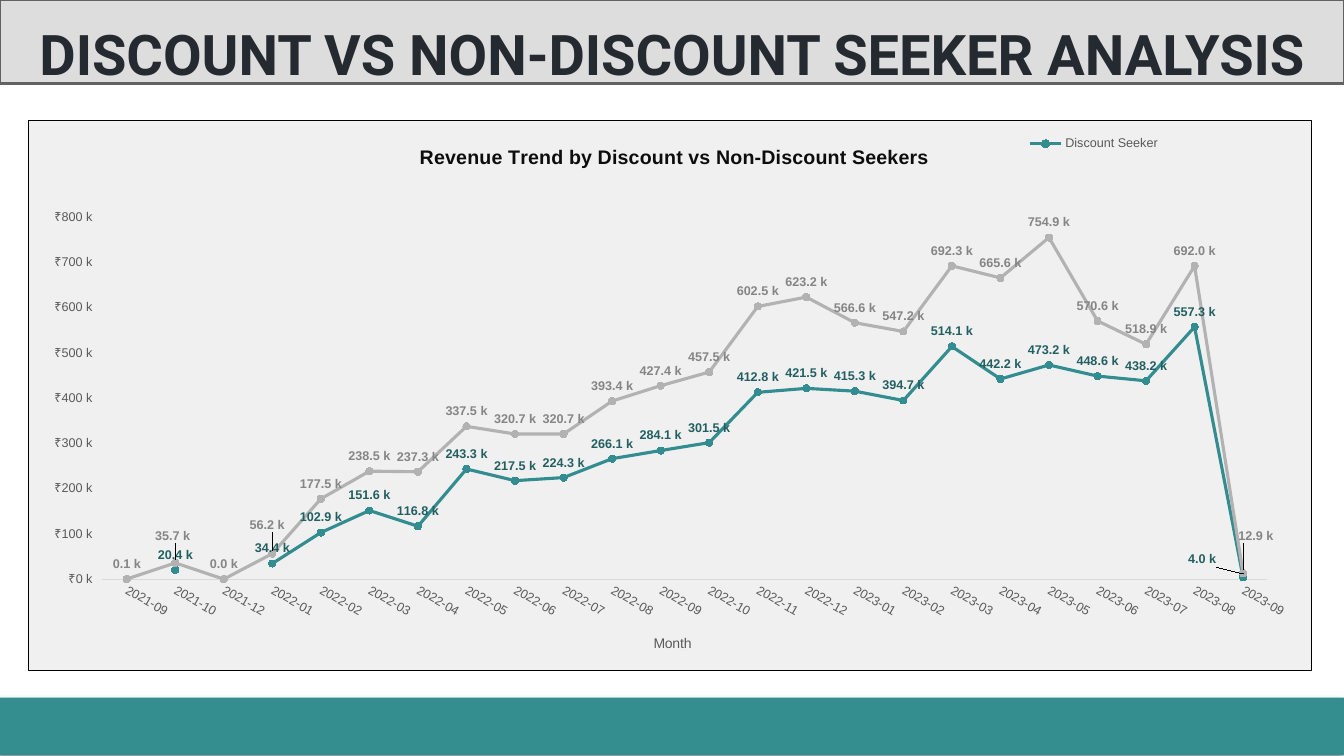
from lxml import etree
from pptx import Presentation, util as u
from pptx.chart.data import CategoryChartData
from pptx.dml.color import RGBColor
from pptx.enum import chart as ch, shapes, text
from pptx.oxml import parse_xml
from pptx.oxml.ns import nsdecls, qn

TEAL, GREY, SLATE = "338D90", "B2B2B2", "595959"
MONTHS = (["2021-09", "2021-10", "2021-12"]
          + [f"2022-{m:02}" for m in range(1, 13)]
          + [f"2023-{m:02}" for m in range(1, 10)])
SEEKERS = [None, 20400, None, 34400, 102900, 151600, 116800, 243300,
           217500, 224300, 266100, 284100, 301500, 412800, 421500, 415300,
           394700, 514100, 442200, 473200, 448600, 438200, 557300, 4000]
OTHERS = [100, 35700, 0, 56200, 177500, 238500, 237300, 337500,
          320700, 320700, 393400, 427400, 457500, 602500, 623200, 566600,
          547200, 692300, 665600, 754900, 570600, 518900, 692000, 12900]
LINES = [
    ("Discount Seeker", SEEKERS, TEAL, "225F61", {23: (-0.032, -0.005)}),
    ("Non-Discount Seeker", OTHERS, GREY, "858585",
     {1: (-0.002, -0.022), 3: (-0.004, -0.025), 23: (0.01, -0.04)}),
]
AXIS_FORM = '"₹"#,##0,\\ "k"'
LABEL_FORM = '#,##0.0,\\ "k"'


def hue(code):
    return RGBColor.from_string(code)


def style(font, size, color, face="Arial", bold=False):
    font.size, font.name, font.bold = u.Pt(size), face, bold
    font.color.rgb = hue(color)


def write(frame, words, **form):
    run = frame.paragraphs[0].add_run()
    run.text = words
    style(run.font, **form)
    return frame.paragraphs[0]


def paint(item, color):
    item.fill.solid()
    item.fill.fore_color.rgb = hue(color)


def draw(line, color, width):
    line.color.rgb = hue(color)
    line.width = u.Pt(width)


def place(node, spot, **parts):
    for old in node.findall(qn("c:layout")):
        node.remove(old)
    layout = etree.Element(qn("c:layout"))
    manual = etree.SubElement(layout, qn("c:manualLayout"))
    for tag, val in parts.items():
        etree.SubElement(manual, qn("c:" + tag)).set("val", str(val))
    node.insert(spot, layout)


class Deck:
    def __init__(self):
        self.file = Presentation()
        self.file.slide_width = u.Cm(33.87)
        self.file.slide_height = u.Cm(19.05)
        self.slide = self.file.slides.add_slide(self.file.slide_layouts[5])

    def title(self, words, *box):
        head = self.slide.shapes.title
        head.left, head.top, head.width, head.height = map(u.Cm, box)
        paint(head, "DDDDDD")
        draw(head.line, "616161", 2)
        frame = head.text_frame
        frame.auto_size = text.MSO_AUTO_SIZE.NONE
        frame.word_wrap = True
        frame.vertical_anchor = text.MSO_ANCHOR.MIDDLE
        para = write(frame, words, size=40, color="252930",
                     face="Roboto", bold=True)
        para.alignment = text.PP_ALIGN.CENTER
        para.line_spacing = u.Pt(64.3)

    def bar(self, color, *box):
        band = self.slide.shapes.add_shape(
            shapes.MSO_SHAPE.RECTANGLE, *map(u.Cm, box))
        paint(band, color)
        band.line.fill.background()
        band.shadow.inherit = False
        glow = band.element.spPr.find(qn("a:effectLst"))
        glow.append(parse_xml(
            f'<a:outerShdw {nsdecls("a")} blurRad="50800" dist="38100" '
            'dir="8100000"><a:srgbClr val="000000"><a:alpha val="40000"/>'
            '</a:srgbClr></a:outerShdw>'))

    def chart(self, name, *box):
        data = CategoryChartData()
        data.categories = MONTHS
        for label, vals, *_ in LINES:
            data.add_series(label, vals)
        chart = self.slide.shapes.add_chart(
            ch.XL_CHART_TYPE.LINE_MARKERS, *map(u.Cm, box), data).chart
        style(chart.font, 10, "000000")
        root = chart.element.find(qn("c:chart"))
        root.addnext(parse_xml(
            f'<c:spPr {nsdecls("c", "a")}><a:solidFill>'
            '<a:srgbClr val="F0F0F0"/></a:solidFill><a:ln w="9525">'
            '<a:solidFill><a:srgbClr val="000000"/></a:solidFill></a:ln>'
            '</c:spPr>'))
        place(root.find(qn("c:plotArea")), 0, layoutTarget="inner",
              xMode="edge", yMode="edge", x=0.0575, y=0.176,
              w=0.908, h=0.658)
        self.heading(chart.chart_title, name, 0.302, 0.038,
                     size=14, color="0D0D0D", bold=True)
        self.axes(chart)
        self.legend(chart)
        for series, (_, _, color, ink, moves) in zip(chart.series, LINES):
            self.line(series, color, ink, moves)

    def heading(self, title, words, x, y, **form):
        write(title.text_frame, words, **form)
        place(title.element if hasattr(title, "element") else title._element,
              1, xMode="edge", yMode="edge", x=x, y=y)

    def axes(self, chart):
        months, money = chart.category_axis, chart.value_axis
        for axis in (months, money):
            style(axis.tick_labels.font, 9, SLATE)
            axis.has_major_gridlines = False
        months.major_tick_mark = ch.XL_TICK_MARK.NONE
        draw(months.format.line, "D9D9D9", 0.75)
        turn = months.tick_labels.font
        body = months._element.find(qn("c:txPr")).find(qn("a:bodyPr"))
        body.set("rot", "1800000")
        turn.italic = False
        self.heading(months.axis_title, "Month", 0.485, 0.93,
                     size=10, color=SLATE)
        money.minimum_scale, money.maximum_scale = 0, 800000
        money.major_unit = 100000
        money.major_tick_mark = ch.XL_TICK_MARK.OUTSIDE
        money.format.line.fill.background()
        money.tick_labels.number_format = AXIS_FORM
        money.tick_labels.number_format_is_linked = False

    def legend(self, chart):
        chart.has_legend = True
        key = chart.legend
        key.position = ch.XL_LEGEND_POSITION.TOP
        key.include_in_layout = False
        style(key.font, 9, SLATE)
        node = chart.element.find(qn("c:chart")).find(qn("c:legend"))
        node.find(qn("c:legendPos")).addnext(parse_xml(
            f'<c:legendEntry {nsdecls("c")}><c:idx val="1"/>'
            '<c:delete val="1"/></c:legendEntry>'))
        place(node, 2, xMode="edge", yMode="edge", x=0.777, y=0.022)

    def line(self, series, color, ink, moves):
        series.smooth = False
        draw(series.format.line, color, 2.25)
        mark = series.marker
        mark.style, mark.size = ch.XL_MARKER_STYLE.CIRCLE, 5
        paint(mark.format, color)
        draw(mark.format.line, color, 0.75)
        labels = series.data_labels
        labels.show_value = True
        labels.number_format = LABEL_FORM
        labels.number_format_is_linked = False
        labels.position = ch.XL_LABEL_POSITION.ABOVE
        style(labels.font, 9, ink, bold=True)
        for spot, (x, y) in moves.items():
            label = series.points[spot].data_label
            style(label.font, 9, ink, bold=True)
            label.position = ch.XL_LABEL_POSITION.ABOVE
            node = next(n for n in labels._element.findall(qn("c:dLbl"))
                        if n.find(qn("c:idx")).get("val") == str(spot))
            place(node, 1, x=x, y=y)
            form = etree.Element(qn("c:numFmt"), formatCode=LABEL_FORM,
                                 sourceLinked="0")
            node.insert(2, form)


def main():
    deck = Deck()
    deck.bar("348E90", 0, 17.58, 33.87, 1.45)
    deck.title("DISCOUNT VS NON-DISCOUNT SEEKER ANALYSIS", 0, 0, 33.87, 2.11)
    deck.chart("Revenue Trend by Discount vs Non-Discount Seekers",
               0.71, 3.02, 32.36, 13.89)
    deck.file.save("out.pptx")


if __name__ == "__main__":
    main()
